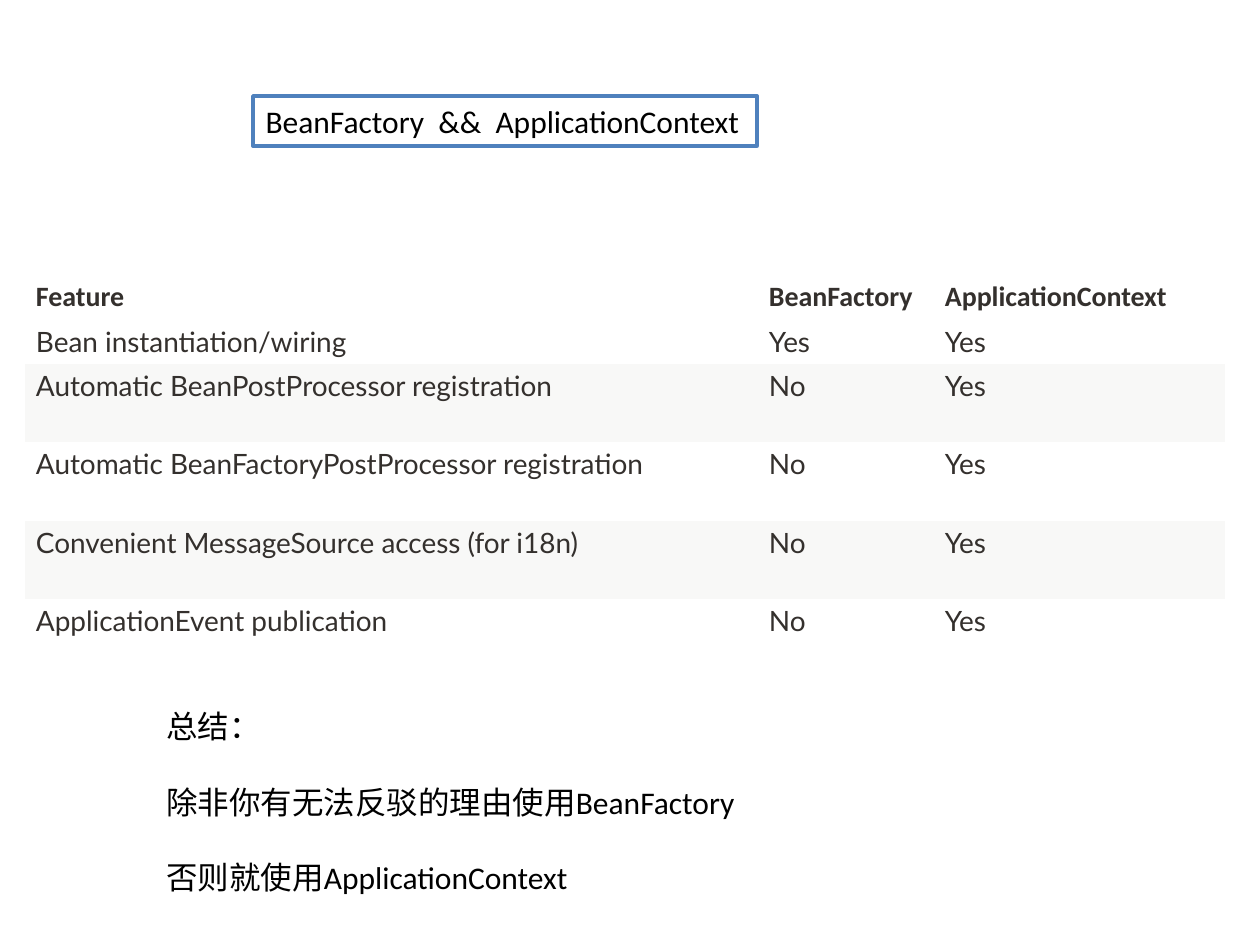
from pptx import Presentation
from pptx import util as u
from pptx.dml.color import RGBColor
from pptx.enum import text as t

SCALE = 914400 / 126
PLAIN = "{2D5ABB26-0587-4C30-8999-92F81FD0307C}"
COLS = [733, 176, 291]
ROWS = [45, 44, 78, 79, 78, 79]
CELLS = [
    ("Feature", "BeanFactory", "ApplicationContext"),
    ("Bean instantiation/wiring", "Yes", "Yes"),
    ("Automatic BeanPostProcessor registration", "No", "Yes"),
    ("Automatic BeanFactoryPostProcessor registration", "No", "Yes"),
    ("Convenient MessageSource access (for i18n)", "No", "Yes"),
    ("ApplicationEvent publication", "No", "Yes"),
]
SUMMARY = ["总结：", "除非你有无法反驳的理由使用BeanFactory", "否则就使用ApplicationContext"]


def px(n):
    return u.Emu(round(n * SCALE))


def color(code):
    return RGBColor.from_string(code)


def paint(fill, code):
    fill.solid()
    fill.fore_color.rgb = color(code)


def put(obj, **values):
    """Set each named attribute of an object."""
    for name, value in values.items():
        setattr(obj, name, value)


def style(par, size, code, face="Calibri", bold=False):
    put(par, alignment=t.PP_ALIGN.LEFT)
    put(par.font, size=u.Pt(size), name=face, bold=bold)
    par.font.color.rgb = color(code)


def add_title(slide, words):
    box = slide.shapes.title
    put(box, left=px(253), top=px(96), width=px(504), height=px(50))
    paint(box.fill, "FFFFFF")
    box.line.color.rgb = color("4F81BD")
    box.line.width = u.Pt(2)
    frame = box.text_frame
    frame.text = words
    put(frame, word_wrap=False, vertical_anchor=t.MSO_ANCHOR.TOP,
        auto_size=t.MSO_AUTO_SIZE.NONE)
    style(frame.paragraphs[0], 18, "000000")


def add_grid(slide):
    frame = slide.shapes.add_table(len(ROWS), len(COLS), px(25), px(275),
                                   px(sum(COLS)), px(sum(ROWS)))
    grid = frame.table
    put(grid, horz_banding=False)
    grid._tbl.tblPr.find("{*}tableStyleId").text = PLAIN
    for col, wide in zip(grid.columns, COLS):
        col.width = px(wide)
    for i, (row, high, words) in enumerate(zip(grid.rows, ROWS, CELLS)):
        row.height = px(high)
        head = i == 0
        shade = "F8F8F7" if i and i % 2 == 0 else "FFFFFF"
        for cell, word in zip(row.cells, words):
            cell.text = word
            put(cell, margin_left=px(11), margin_right=px(11),
                margin_top=px(5), margin_bottom=px(5))
            paint(cell.fill, shade)
            style(cell.text_frame.paragraphs[0], 16, "34302D",
                  "Calibri" if head else "Lato", head)


def add_notes(slide, lines):
    """Add the summary, with one line of space between its paragraphs."""
    box = slide.shapes.add_textbox(px(154), px(701), px(873), px(204))
    frame = box.text_frame
    frame.text = "\n".join(lines)
    put(frame, word_wrap=True, auto_size=t.MSO_AUTO_SIZE.SHAPE_TO_FIT_TEXT)
    for i, par in enumerate(frame.paragraphs):
        style(par, 18, "000000")
        if i:
            par.space_before = u.Pt(21.5)


def main():
    deck = Presentation()
    put(deck, slide_width=px(1260), slide_height=px(945))
    slide = deck.slides.add_slide(deck.slide_layouts[5])
    add_title(slide, "BeanFactory  &&  ApplicationContext")
    add_grid(slide)
    add_notes(slide, SUMMARY)
    deck.save("out.pptx")


if __name__ == "__main__":
    main()
